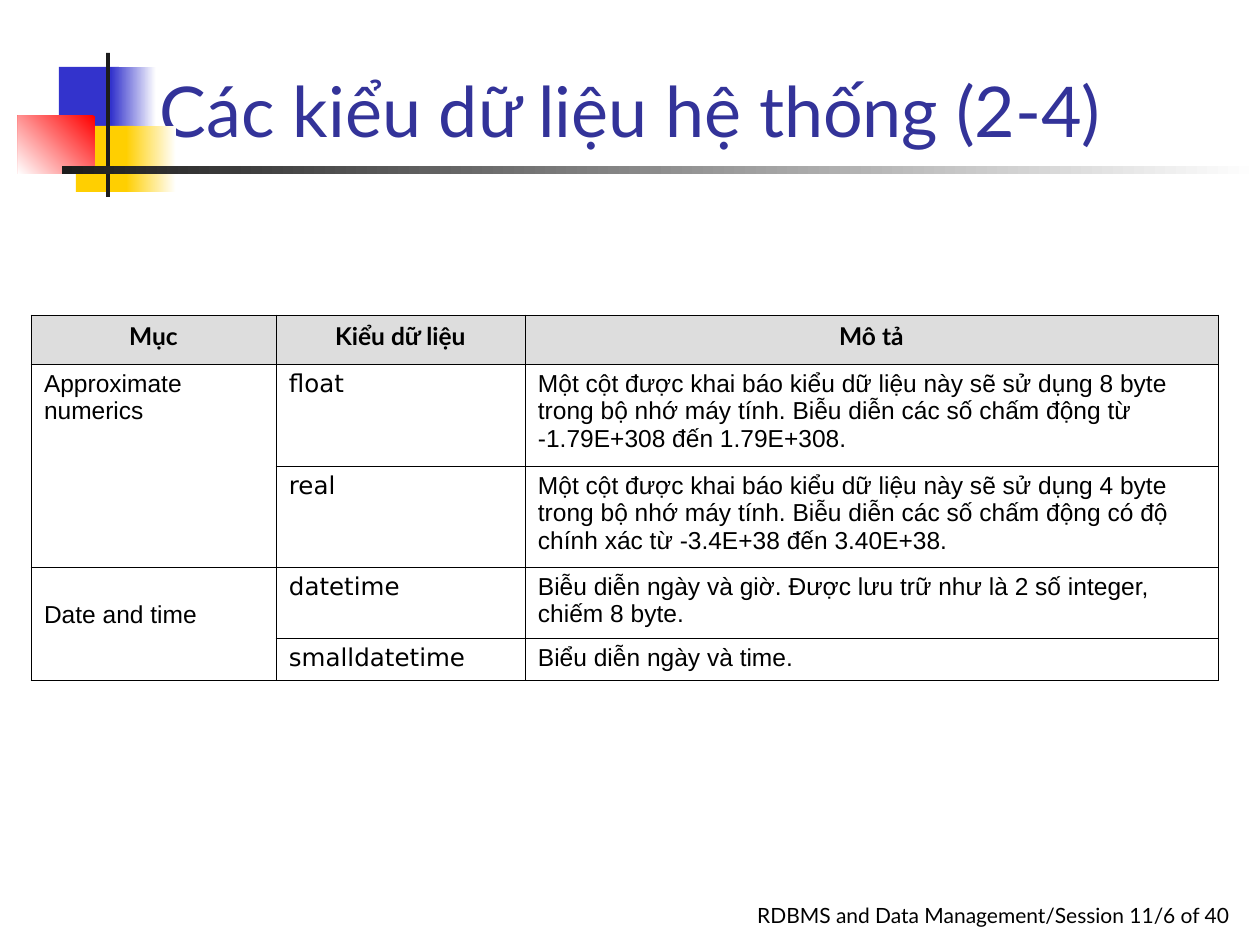
from pptx import Presentation, util as u
from pptx.dml.color import RGBColor
from pptx.enum import shapes, text
from pptx.oxml import parse_xml
from pptx.oxml.ns import nsdecls

PX = u.Inches(1) // 126
INSET_X, INSET_Y = 13, 6

DECORATION = [
    ((41, 14, 60, 65), ["3333CC"], 0),
    ((93, 14, 45, 65), ["FFFFFF", "3333CC"], 180),
    ((58, 73, 58, 66), ["FFCF01"], 0),
    ((108, 73, 50, 66), ["FFFFFF", "FFCF01"], 180),
    ((0, 63, 77, 58), ["FF0000", "FFFFFF"], 225),
    ((88, 0, 4, 144), ["1C1C1C"], 0),
    ((44, 113, 1198, 8), ["FFFFFF", "1C1C1C"], 180),
]

HEADERS = ["Mục", "Kiểu dữ liệu", "Mô tả"]
TYPE_GROUPS = [
    ("Approximate numerics", 0, [
        ("float", "Một cột được khai báo kiểu dữ liệu này sẽ sử dụng 8 byte trong bộ nhớ "
                  "máy tính. Biễu diễn các số chấm động từ -1.79E+308 đến 1.79E+308."),
        ("real", "Một cột được khai báo kiểu dữ liệu này sẽ sử dụng 4 byte trong bộ nhớ "
                 "máy tính. Biễu diễn các số chấm động có độ chính xác từ "
                 "-3.4E+38 đến 3.40E+38."),
    ]),
    ("Date and time", 28, [
        ("datetime", "Biễu diễn ngày và giờ. Được lưu trữ như là 2 số integer, chiếm 8 byte."),
        ("smalldatetime", "Biểu diễn ngày và time."),
    ]),
]
COLUMN_WIDTHS = [245, 249, 693]
ROW_HEIGHTS = [49, 102, 101, 71, 43]


def px(*lengths):
    return [u.Emu(length * PX) for length in lengths]


def color(hex_code):
    return RGBColor.from_string(hex_code)


def set_margins(holder, top=INSET_Y, right=INSET_X):
    holder.margin_left, holder.margin_right = px(INSET_X, right)
    holder.margin_top, holder.margin_bottom = px(top, INSET_Y)


def write(frame, wording, size, font, hex_code="000000", bold=False,
          align=text.PP_ALIGN.LEFT):
    frame.word_wrap = True
    paragraph = frame.paragraphs[0]
    paragraph.alignment = align
    run = paragraph.add_run()
    run.text = wording
    run.font.size = u.Pt(size)
    run.font.name = font
    run.font.bold = bold
    run.font.color.rgb = color(hex_code)


def add_decoration(slide, left, top):
    for (x, y, width, height), colors, angle in DECORATION:
        block = slide.shapes.add_shape(
            shapes.MSO_SHAPE.RECTANGLE, *px(left + x, top + y, width, height))
        block.shadow.inherit = False
        block.line.fill.background()
        if len(colors) == 1:
            block.fill.solid()
            block.fill.fore_color.rgb = color(colors[0])
        else:
            block.fill.gradient()
            block.fill.gradient_angle = angle
            for stop, hex_code in zip(block.fill.gradient_stops, colors):
                stop.color.rgb = color(hex_code)


def add_title(slide, left, top, width, height):
    title = slide.shapes.title
    title.left, title.top, title.width, title.height = px(left, top, width, height)
    frame = title.text_frame
    set_margins(frame)
    frame.auto_size = text.MSO_AUTO_SIZE.NONE
    frame.vertical_anchor = text.MSO_ANCHOR.BOTTOM
    write(frame, "Các kiểu dữ liệu hệ thống (2-4)", 40, "Lato", "333399")


def add_footer(slide, left, top, width, height):
    footer = slide.shapes.add_textbox(*px(left, top, width, height))
    set_margins(footer.text_frame, right=0)
    write(footer.text_frame, "RDBMS and Data Management/Session 11/6 of 40", 12, "Lato",
          align=text.PP_ALIGN.CENTER)


def style_cell(cell, fill=None):
    set_margins(cell)
    if fill:
        cell.fill.solid()
        cell.fill.fore_color.rgb = color(fill)
    else:
        cell.fill.background()
    properties = cell._tc.get_or_add_tcPr()
    for index, side in enumerate("LRTB"):
        properties.insert(index, parse_xml(
            f'<a:ln{side} {nsdecls("a")} w="{int(u.Pt(0.45))}"><a:solidFill>'
            f'<a:srgbClr val="000000"/></a:solidFill></a:ln{side}>'))


def add_type_table(slide, left, top):
    table = slide.shapes.add_table(
        len(ROW_HEIGHTS), len(COLUMN_WIDTHS),
        *px(left, top, sum(COLUMN_WIDTHS), sum(ROW_HEIGHTS))).table
    table.first_row = table.horz_banding = False
    for column, width in zip(table.columns, px(*COLUMN_WIDTHS)):
        column.width = width
    for row_index, (row, height) in enumerate(zip(table.rows, px(*ROW_HEIGHTS))):
        row.height = height
        for cell in row.cells:
            style_cell(cell, None if row_index else "DDDDDD")

    for cell, heading in zip(table.rows[0].cells, HEADERS):
        write(cell.text_frame, heading, 14, "Lato", bold=True, align=text.PP_ALIGN.CENTER)

    row_index = 1
    for category, drop, data_types in TYPE_GROUPS:
        category_cell = table.cell(row_index, 0)
        category_cell.merge(table.cell(row_index + len(data_types) - 1, 0))
        set_margins(category_cell, top=INSET_Y + drop)
        write(category_cell.text_frame, category, 14, "Arial")
        for data_type, description in data_types:
            write(table.cell(row_index, 1).text_frame, data_type, 14, "DejaVu Sans")
            write(table.cell(row_index, 2).text_frame, description, 14, "Arial")
            row_index += 1


def main():
    presentation = Presentation()
    presentation.slide_width, presentation.slide_height = px(1260, 945)
    slide = presentation.slides.add_slide(presentation.slide_layouts[5])
    add_footer(slide, 724, 897, 526, 67)
    add_decoration(slide, 18, 53)
    add_title(slide, 147, 32, 1029, 126)
    add_type_table(slide, 31, 315)
    presentation.save("out.pptx")


if __name__ == "__main__":
    main()
